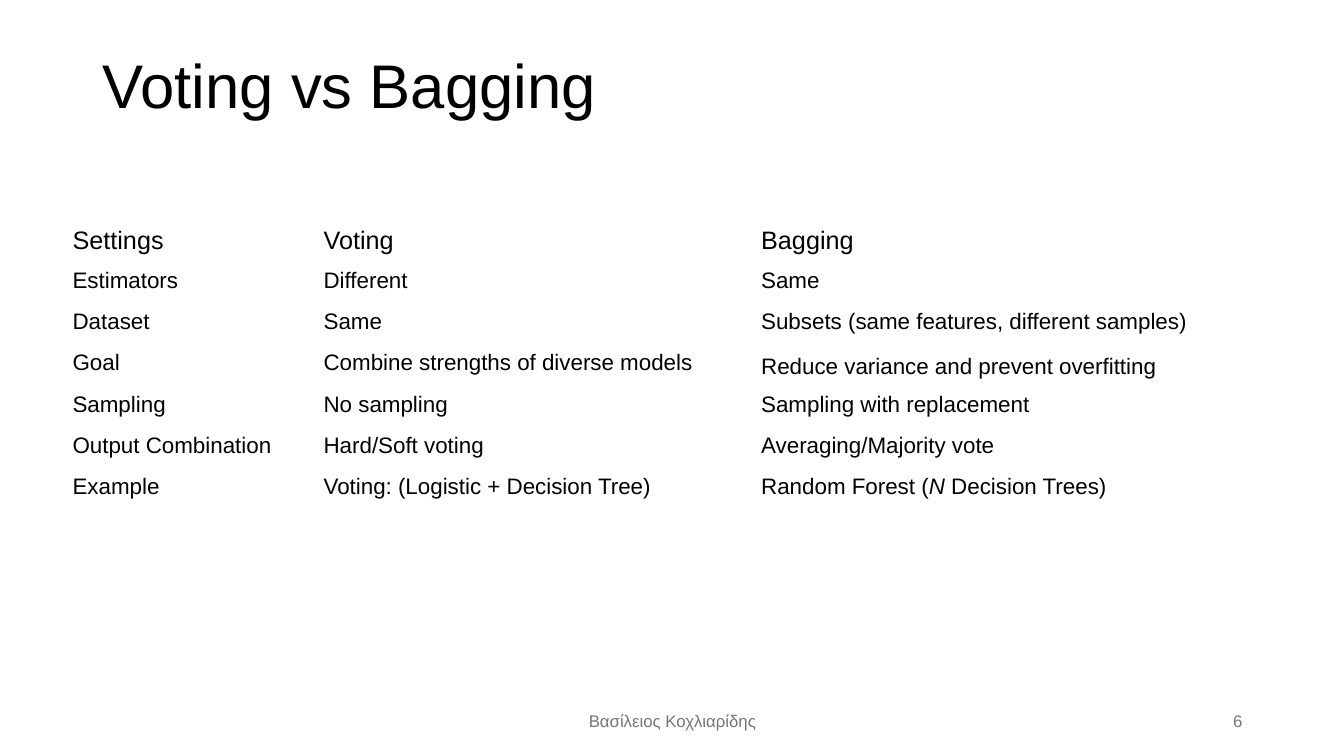
from pptx import Presentation
from pptx.dml.color import RGBColor
from pptx.enum.text import MSO_ANCHOR, PP_ALIGN
from pptx.util import Inches, Pt

LEFT, CENTER, RIGHT = PP_ALIGN.LEFT, PP_ALIGN.CENTER, PP_ALIGN.RIGHT
TOP, MIDDLE = MSO_ANCHOR.TOP, MSO_ANCHOR.MIDDLE
TITLE_ONLY = 5
FONT = "Arial"
BLACK, GRAY = "000000", "757575"

COLUMN_WIDTHS = (2.49, 4.34, 5.63)
ROW_HEIGHT = 0.41
# A cell is a string, or a list of (text, italic) runs
COMPARISON = [
    ("Settings", "Voting", "Bagging"),
    ("Estimators", "Different", "Same"),
    ("Dataset", "Same", "Subsets (same features, different samples)"),
    ("Goal", "Combine strengths of diverse models",
     "Reduce variance and prevent overfitting"),
    ("Sampling", "No sampling", "Sampling with replacement"),
    ("Output Combination", "Hard/Soft voting", "Averaging/Majority vote"),
    ("Example", "Voting: (Logistic + Decision Tree)",
     [("Random Forest (", False), ("N", True), (" Decision Trees)", False)]),
]
CENTERED_CELL = (3, 2)


def color(hex_string):
    return RGBColor.from_string(hex_string)


def write(paragraph, content, size, hex_string=BLACK, alignment=LEFT):
    paragraph.alignment = alignment
    runs = [(content, False)] if isinstance(content, str) else content
    for text, italic in runs:
        run = paragraph.add_run()
        run.text = text
        run.font.name = FONT
        run.font.size = Pt(size)
        run.font.bold = False
        run.font.italic = italic
        run.font.color.rgb = color(hex_string)


def add_title(slide, left, top, width, height):
    title = slide.shapes.title
    title.left, title.top = Inches(left), Inches(top)
    title.width, title.height = Inches(width), Inches(height)
    title.text_frame.vertical_anchor = MIDDLE
    title.text_frame.word_wrap = True
    paragraph = title.text_frame.paragraphs[0]
    paragraph.line_spacing = 0.9
    write(paragraph, "Voting vs Bagging", 44)


def add_comparison(slide, left, top):
    frame = slide.shapes.add_table(
        len(COMPARISON), len(COLUMN_WIDTHS), Inches(left), Inches(top),
        Inches(sum(COLUMN_WIDTHS)), Inches(ROW_HEIGHT * len(COMPARISON)))
    table = frame.table
    table.first_row = False
    table.horz_banding = False
    for column, width in zip(table.columns, COLUMN_WIDTHS):
        column.width = Inches(width)
    for row_index, row in enumerate(COMPARISON):
        table.rows[row_index].height = Inches(ROW_HEIGHT)
        for column_index, content in enumerate(row):
            cell = table.cell(row_index, column_index)
            cell.fill.background()
            centered = (row_index, column_index) == CENTERED_CELL
            cell.vertical_anchor = MIDDLE if centered else TOP
            write(cell.text_frame.paragraphs[0], content,
                  18 if row_index == 0 else 16)


def add_footer_text(slide, text, left, top, width, height, alignment):
    box = slide.shapes.add_textbox(
        Inches(left), Inches(top), Inches(width), Inches(height))
    box.text_frame.word_wrap = True
    box.text_frame.vertical_anchor = MIDDLE
    write(box.text_frame.paragraphs[0], text, 12, GRAY, alignment)


def main():
    presentation = Presentation()
    presentation.slide_width = Inches(13.33)
    presentation.slide_height = Inches(7.5)
    slide = presentation.slides.add_slide(
        presentation.slide_layouts[TITLE_ONLY])

    # Heading and comparison table
    add_title(slide, 0.92, 0.15, 11.5, 1.45)
    add_comparison(slide, 0.62, 2.2)

    # Footer: author and page number
    add_footer_text(slide, "Βασίλειος Κοχλιαρίδης", 4.42, 6.95, 4.5, 0.4, CENTER)
    add_footer_text(slide, "6", 9.42, 6.95, 3, 0.4, RIGHT)

    presentation.save("out.pptx")


if __name__ == "__main__":
    main()
